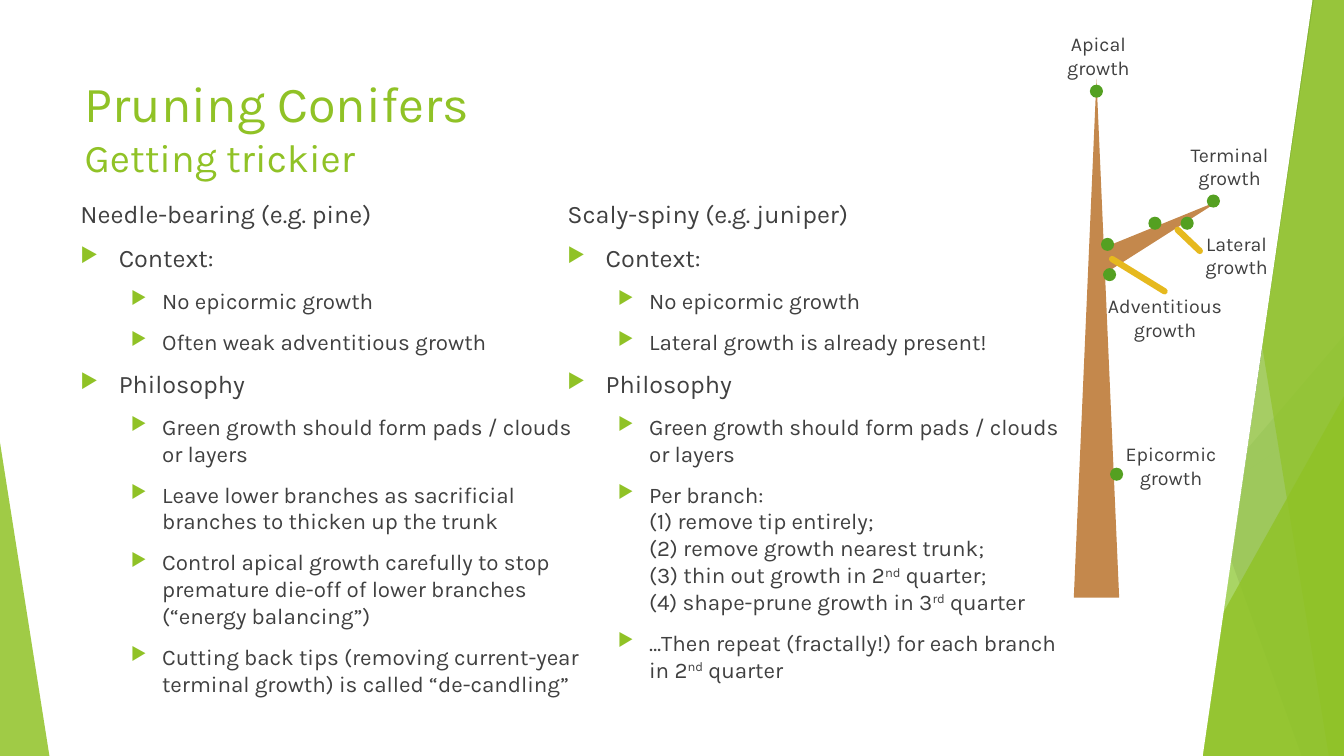
from copy import deepcopy

from lxml.etree import SubElement
from pptx import Presentation
from pptx.dml.color import RGBColor
from pptx.enum.shapes import MSO_CONNECTOR, MSO_SHAPE
from pptx.enum.text import MSO_ANCHOR, PP_ALIGN
from pptx.oxml.ns import qn
from pptx.util import Inches, Pt

COLORS = {
    "lime": "90C226", "green": "54A021", "forest": "3F7819", "pale": "C0E474",
    "white": "FFFFFF", "grey": "D9D9D9", "text": "404040",
    "wood": "C4884C", "gold": "E6B91E",
}
WIDTH, HEIGHT = 13.33, 7.5


def write(paragraph, text, size=16, color="text", before=10):
    """Write text; a newline breaks the line, ^marks^ enclose a superscript."""
    paragraph.space_before = Pt(before)
    for line_number, line in enumerate(text.split("\n")):
        if line_number:
            paragraph.add_line_break()
            paragraph._p[-1].append(deepcopy(run._r.rPr))
        for part_number, part in enumerate(line.split("^")):
            run = paragraph.add_run()
            run.text = part
            run.font.name = "Karla"
            run.font.size = Pt(size)
            run.font.color.rgb = RGBColor.from_string(COLORS[color])
            if part_number % 2:
                run._r.rPr.set("baseline", "30000")


def paint(shape, color, opacity=100):
    shape.shadow.inherit = False
    shape.line.fill.background()
    shape.fill.solid()
    shape.fill.fore_color.rgb = RGBColor.from_string(COLORS[color])
    if opacity < 100:
        color_element = shape.fill._xPr.find(qn("a:solidFill"))[0]
        SubElement(color_element, qn("a:alpha")).set("val", str(opacity * 1000))


presentation = Presentation()
presentation.slide_width = Inches(WIDTH)
presentation.slide_height = Inches(HEIGHT)
slide = presentation.slides.add_slide(presentation.slide_layouts[5])
shapes = slide.shapes

# Lines: the grey background line, then the two gold pointers added further down
lines = [
    (13.33, 4.03, 8.12, 7.5, "grey", 0.75),
    (11.9, 2.49, 11.68, 2.28, "gold", 4.5),
    (11.55, 2.89, 11.03, 2.57, "gold", 4.5),
]
connectors = []
for start_x, start_y, end_x, end_y, color, weight in lines:
    connector = shapes.add_connector(
        MSO_CONNECTOR.STRAIGHT,
        Inches(start_x), Inches(start_y), Inches(end_x), Inches(end_y))
    connector.line.color.rgb = RGBColor.from_string(COLORS[color])
    connector.line.width = Pt(weight)
    connector.line._ln.set("cap", "rnd")
    SubElement(connector._element.spPr, qn("a:effectLst"))
    connectors.append(connector)

# Green facets reaching the right edge: top x (None for a triangle), bottom x, top y
facets = [
    (12.28, 10.04, 0, "lime", 30),
    (10.5, 11.83, 0, "lime", 20),
    (None, 9.77, 3.33, "green", 72),
    (10.21, 12.91, 0, "forest", 70),
    (13.03, 11.92, 0, "pale", 70),
    (11.96, 13.18, 0, "lime", 65),
    (None, 11.34, 3.93, "lime", 80),
]
for top_x, bottom_x, top_y, color, opacity in facets:
    if top_x is None:
        facet = shapes.add_shape(
            MSO_SHAPE.ISOSCELES_TRIANGLE, Inches(bottom_x), Inches(top_y),
            Inches(WIDTH - bottom_x), Inches(HEIGHT - top_y))
        facet.adjustments[0] = 1
    else:
        builder = shapes.build_freeform(Inches(top_x), Inches(top_y))
        corners = [(WIDTH, top_y), (WIDTH, HEIGHT), (bottom_x, HEIGHT)]
        builder.add_line_segments([(Inches(x), Inches(y)) for x, y in corners])
        facet = builder.convert_to_shape()
    paint(facet, color, opacity)

# Left corner and the white panel
corner = shapes.add_shape(
    MSO_SHAPE.ISOSCELES_TRIANGLE, 0, Inches(4.39), Inches(0.49), Inches(3.11))
corner.adjustments[0] = 0
paint(corner, "lime", 85)

panel = shapes.add_shape(
    MSO_SHAPE.PARALLELOGRAM, Inches(7.47), Inches(-0.02), Inches(5.54), Inches(7.52))
panel.adjustments[0] = 0.197
paint(panel, "white")
panel.line.color.rgb = RGBColor.from_string(COLORS["white"])
panel.line.width = Pt(1.5)

# Title, brought in front of the panel
title = shapes.title
shapes._spTree.append(title._element)
title.left, title.top = Inches(0.74), Inches(0.67)
title.width, title.height = Inches(9.4), Inches(1.44)
title.text_frame.vertical_anchor = MSO_ANCHOR.TOP
heading = title.text_frame.paragraphs[0]
heading.alignment = PP_ALIGN.LEFT
write(heading, "Pruning Conifers\n", size=36, color="lime", before=0)
write(heading, "Getting trickier", size=28, color="lime", before=0)

# Two columns: (outline level, text)
columns = [
    (0.7, [
        (0, "Needle-bearing (e.g. pine)"),
        (1, "Context:"),
        (2, "No epicormic growth"),
        (2, "Often weak adventitious growth"),
        (1, "Philosophy"),
        (2, "Green growth should form pads / clouds or layers"),
        (2, "Leave lower branches as sacrificial branches to thicken up the trunk"),
        (2, "Control apical growth carefully to stop premature die-off of lower "
            "branches (“energy balancing”)"),
        (2, "Cutting back tips (removing current-year terminal growth) is called "
            "“de-candling”"),
    ]),
    (5.53, [
        (0, "Scaly-spiny (e.g. juniper)"),
        (1, "Context:"),
        (2, "No epicormic growth"),
        (2, "Lateral growth is already present!"),
        (1, "Philosophy"),
        (2, "Green growth should form pads / clouds or layers"),
        (2, "Per branch: \n(1) remove tip entirely; \n(2) remove growth nearest trunk; \n"
            "(3) thin out growth in 2^nd^ quarter; \n"
            "(4) shape-prune growth in 3^rd^ quarter"),
        (2, "…Then repeat (fractally!) for each branch in 2^nd^ quarter"),
    ]),
]
indents = {1: (0.38, -0.38), 2: (0.81, -0.31)}
for left, items in columns:
    column = shapes.add_textbox(Inches(left), Inches(1.92), Inches(5.16), Inches(5.58))
    frame = column.text_frame
    frame.word_wrap = True
    for number, (level, text) in enumerate(items):
        paragraph = frame.add_paragraph() if number else frame.paragraphs[0]
        write(paragraph, text, size=16 if level == 2 else 18)
        if level:
            margin, hanging = indents[level]
            paragraph.level = level - 1
            properties = paragraph._p.get_or_add_pPr()
            properties.set("marL", str(Inches(margin)))
            properties.set("indent", str(Inches(hanging)))
            bullet_color = SubElement(properties, qn("a:buClr"))
            SubElement(bullet_color, qn("a:srgbClr")).set("val", COLORS["lime"])
            SubElement(properties, qn("a:buSzPct")).set("val", "80000")
            SubElement(properties, qn("a:buChar")).set("char", "▶")

# Trunk and branch
for left, top, width, height, rotation in [
    (10.65, 0.78, 0.45, 5.15, 0),
    (11.36, 1.61, 0.25, 1.39, 62.7),
]:
    wood = shapes.add_shape(
        MSO_SHAPE.ISOSCELES_TRIANGLE,
        Inches(left), Inches(top), Inches(width), Inches(height))
    wood.rotation = rotation
    paint(wood, "wood")

# Buds
for left, top in [(10.81, 0.84), (11.97, 1.93), (10.92, 2.36), (10.94, 2.66),
                  (11.01, 4.64), (11.71, 2.15), (11.39, 2.15)]:
    bud = shapes.add_shape(
        MSO_SHAPE.OVAL, Inches(left), Inches(top), Inches(0.13), Inches(0.13))
    paint(bud, "green")

# Growth labels
for left, top, width, kind in [
    (10.31, 0.12, 1.17, "Apical"),
    (11.61, 1.22, 1.17, "Terminal"),
    (11.68, 2.1, 1.17, "Lateral"),
    (10.88, 2.72, 1.35, "Adventitious"),
    (11.03, 4.19, 1.17, "Epicormic"),
]:
    label = shapes.add_textbox(Inches(left), Inches(top), Inches(width), Inches(0.86))
    label.text_frame.word_wrap = True
    label.text_frame.vertical_anchor = MSO_ANCHOR.MIDDLE
    paragraph = label.text_frame.paragraphs[0]
    paragraph.alignment = PP_ALIGN.CENTER
    write(paragraph, f"{kind} growth", size=14)

# Gold pointers lie on top of the tree
for pointer in connectors[1:]:
    shapes._spTree.append(pointer._element)

presentation.save("out.pptx")
